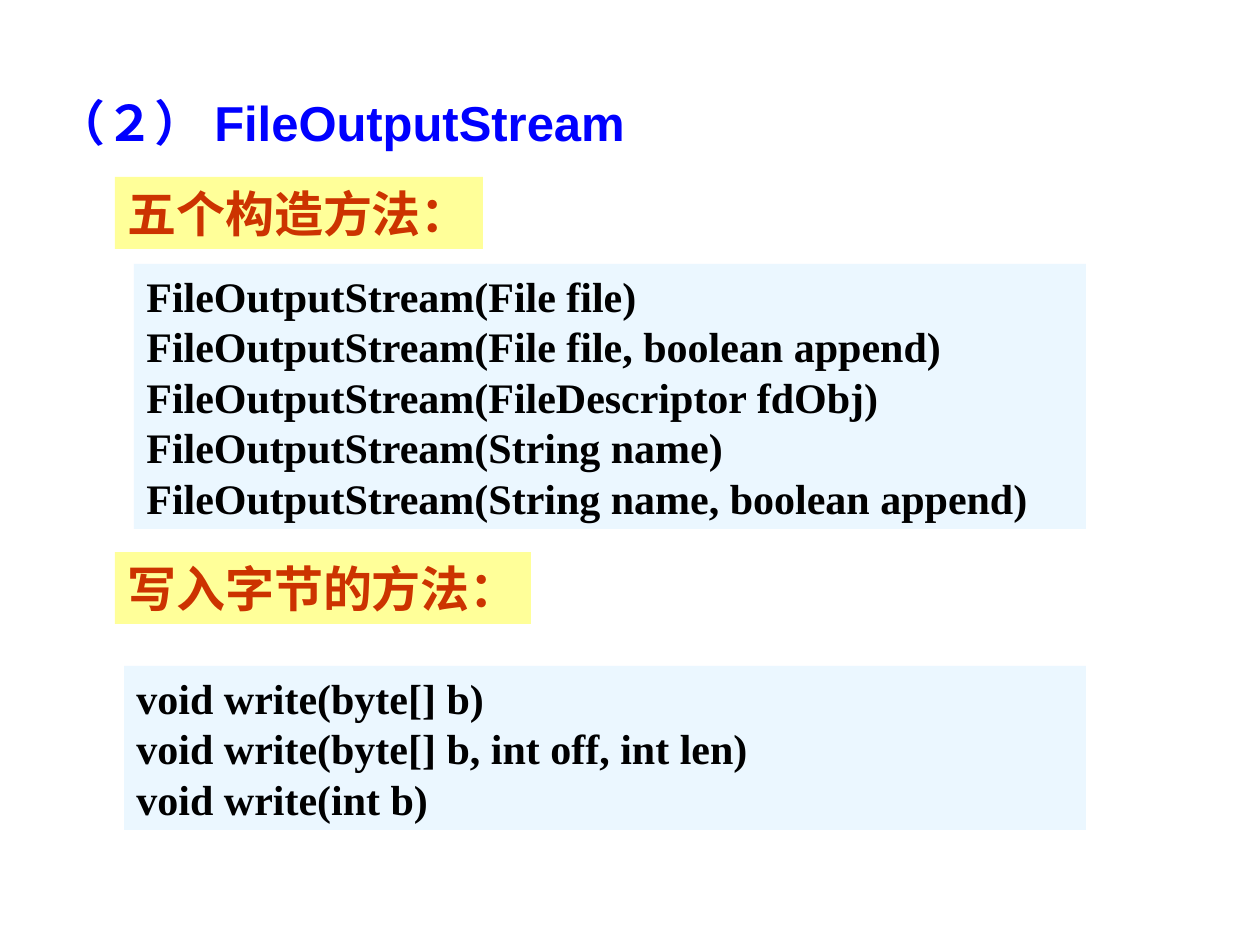
"""Build the FileOutputStream slide with its constructors and write methods."""
from pptx import Presentation
from pptx.dml.color import RGBColor
from pptx.enum.shapes import MSO_SHAPE
from pptx.enum.text import MSO_ANCHOR, PP_ALIGN
from pptx.util import Emu, Pt

RECT = MSO_SHAPE.RECTANGLE
TOP, MIDDLE = MSO_ANCHOR.TOP, MSO_ANCHOR.MIDDLE
LEFT = PP_ALIGN.LEFT
SCALE = 914400 / 126


def px(n):
    return Emu(round(n * SCALE))


def rgb(value):
    return RGBColor.from_string(value)


prs = Presentation()
prs.slide_width, prs.slide_height = px(1260), px(945)
s = prs.slides.add_slide(prs.slide_layouts[6])

title_style = (None, "Arial", 28, "0000FF", TOP, True)
heading_style = ("FFFF99", "Arial", 28, "CC3300", TOP, False)
code_style = ("EBF7FF", "Times New Roman", 24, "000000", MIDDLE, True)

constructors = [
    "FileOutputStream(File file)",
    "FileOutputStream(File file, boolean append)",
    "FileOutputStream(FileDescriptor fdObj)",
    "FileOutputStream(String name)",
    "FileOutputStream(String name, boolean append)",
]
write_methods = [
    "void write(byte[] b)",
    "void write(byte[] b, int off, int len)",
    "void write(int b)",
]

blocks = [
    ((44, 86, 1062, 72), title_style, ["（２） FileOutputStream"]),
    ((134, 264, 952, 265), code_style, constructors),
    ((115, 177, 368, 72), heading_style, ["五个构造方法："]),
    ((124, 666, 962, 164), code_style, write_methods),
    ((115, 552, 416, 72), heading_style, ["写入字节的方法："]),
]

for box, (fill, font, size, color, anchor, wrap), lines in blocks:
    at = [px(n) for n in box]
    if fill:
        sp = s.shapes.add_shape(RECT, *at)
        sp.shadow.inherit = False
        sp.fill.solid()
        sp.fill.fore_color.rgb = rgb(fill)
        sp.line.fill.background()
    else:
        sp = s.shapes.add_textbox(*at)
    tf = sp.text_frame
    tf.word_wrap = wrap
    tf.vertical_anchor = anchor
    for i, line in enumerate(lines):
        p = tf.add_paragraph() if i else tf.paragraphs[0]
        p.alignment = LEFT
        r = p.add_run()
        r.text = line
        r.font.name = font
        r.font.size = Pt(size)
        r.font.bold = True
        r.font.color.rgb = rgb(color)

prs.save("out.pptx")
